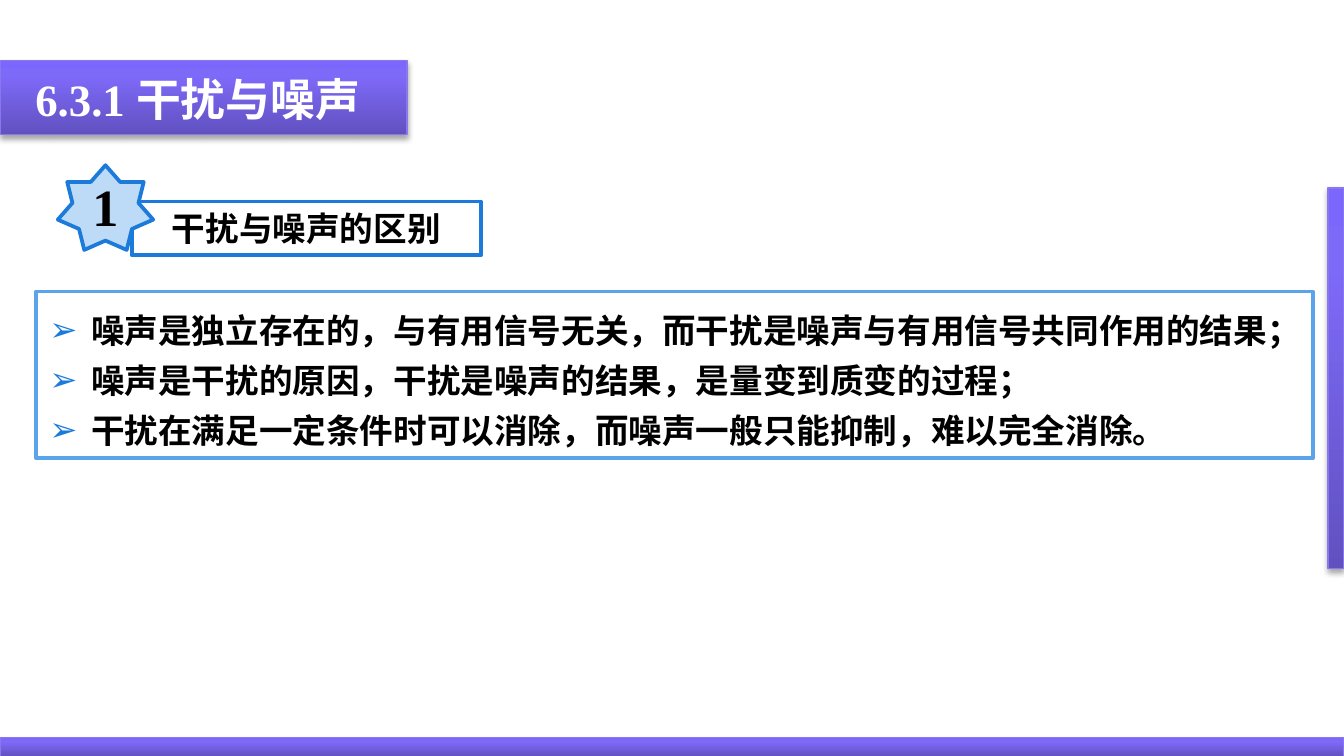
"""Build the slide on the difference between interference and noise."""
import copy

import pptx
import pptx.dml.color
import pptx.enum.shapes
import pptx.enum.text
import pptx.oxml
import pptx.oxml.ns
import pptx.util

Inches = pptx.util.Inches
Pt = pptx.util.Pt
RGBColor = pptx.dml.color.RGBColor
Shape = pptx.enum.shapes.MSO_SHAPE
Align = pptx.enum.text.PP_ALIGN
qn = pptx.oxml.ns.qn

WHITE = RGBColor(0xFF, 0xFF, 0xFF)
BLACK = RGBColor(0x00, 0x00, 0x00)
BLUE = RGBColor(0x1B, 0x7A, 0xDA)
LIGHT_BLUE = RGBColor(0x5B, 0xA3, 0xEB)
PALE_BLUE = RGBColor(0xBD, 0xDA, 0xF7)
VIOLET_LINE = RGBColor(0x89, 0x78, 0xED)
VIOLET_STOPS = [
    (0, RGBColor(0x61, 0x51, 0xC0)),
    (0.8, RGBColor(0x7E, 0x6A, 0xF9)),
    (1, RGBColor(0x7C, 0x67, 0xFD)),
]
FONT = "Times New Roman"

TITLE = " 6.3.1 干扰与噪声"
HEADING = "干扰与噪声的区别"
NUMBER = "1"
POINTS = [
    "噪声是独立存在的，与有用信号无关，而干扰是噪声与有用信号共同作用的结果；",
    "噪声是干扰的原因，干扰是噪声的结果，是量变到质变的过程；",
    "干扰在满足一定条件时可以消除，而噪声一般只能抑制，难以完全消除。",
]
VIOLET_BARS = [(0, 5.49, 10, 0.14), (9.88, 1.4, 0.12, 2.83), (0, 0.45, 3.03, 0.55)]

SHADOW = (
    '<a:effectLst xmlns:a="http://schemas.openxmlformats.org/drawingml/2006/main">'
    '<a:outerShdw blurRad="40000" dist="23000" dir="5400000" rotWithShape="0">'
    '<a:srgbClr val="000000"><a:alpha val="35000"/></a:srgbClr>'
    "</a:outerShdw></a:effectLst>"
)
BULLET = (
    '<a:pPr xmlns:a="http://schemas.openxmlformats.org/drawingml/2006/main">'
    f'<a:buClr><a:srgbClr val="{BLUE}"/></a:buClr>'
    '<a:buFont typeface="Arial"/><a:buChar char="➢"/></a:pPr>'
)


def add_violet_bar(page, place):
    bar = page.shapes.add_shape(Shape.RECTANGLE, *map(Inches, place))
    bar.line.color.rgb = VIOLET_LINE
    bar.line.width = Pt(0.75)
    bar.fill.gradient()
    bar.fill.gradient_angle = 90
    stop_list = next(bar.element.iter(qn("a:gsLst")))
    stop_list.append(copy.deepcopy(stop_list[-1]))
    for stop, (position, color) in zip(bar.fill.gradient_stops, VIOLET_STOPS):
        stop.position = position
        stop.color.rgb = color
    bar.element.spPr.append(pptx.oxml.parse_xml(SHADOW))
    return bar


def write_text(box, text, size, color, align):
    frame = box.text_frame
    frame.text = text
    frame.vertical_anchor = pptx.enum.text.MSO_ANCHOR.MIDDLE
    for para in frame.paragraphs:
        para.alignment = align
        for span in para.runs:
            span.font.name = FONT
            span.font.size = Pt(size)
            span.font.bold = True
            span.font.color.rgb = color


def add_outlined_box(page, kind, place, fill, line, text, size, align):
    box = page.shapes.add_shape(kind, *map(Inches, place))
    box.shadow.inherit = False
    box.fill.solid()
    box.fill.fore_color.rgb = fill
    box.line.color.rgb = line
    box.line.width = Pt(2)
    write_text(box, text, size, BLACK, align)
    return box


def add_bullets(box):
    for para in box.text_frame.paragraphs:
        para.line_spacing = 1.25
        properties = para._p.get_or_add_pPr()
        properties.set("marL", str(Inches(0.31)))
        properties.set("indent", str(-Inches(0.31)))
        properties.extend(list(pptx.oxml.parse_xml(BULLET)))


def main():
    deck = pptx.Presentation()
    deck.slide_width = Inches(10)
    deck.slide_height = deck.slide_width * 9 // 16
    page = deck.slides.add_slide(deck.slide_layouts[5])

    for place in VIOLET_BARS:
        banner = add_violet_bar(page, place)

    title = page.shapes.title
    title.left, title.top, title.width, title.height = map(Inches, (0.08, 0.48, 2.81, 0.5))
    write_text(title, TITLE, 24, WHITE, Align.LEFT)
    title.text_frame.word_wrap = False
    title.text_frame.auto_size = pptx.enum.text.MSO_AUTO_SIZE.NONE
    banner.element.addnext(title.element)

    points = add_outlined_box(page, Shape.RECTANGLE, (0.27, 2.17, 9.5, 1.24), WHITE,
                              LIGHT_BLUE, "\n".join(POINTS), 18, Align.LEFT)
    add_bullets(points)
    add_outlined_box(page, Shape.RECTANGLE, (0.98, 1.5, 2.6, 0.4), WHITE,
                     BLUE, HEADING, 18, Align.CENTER)
    star = add_outlined_box(page, Shape.STAR_7_POINT, (0.43, 1.23, 0.71, 0.63), PALE_BLUE,
                            BLUE, NUMBER, 28, Align.CENTER)
    star.text_frame.word_wrap = False

    deck.save("out.pptx")


if __name__ == "__main__":
    main()
